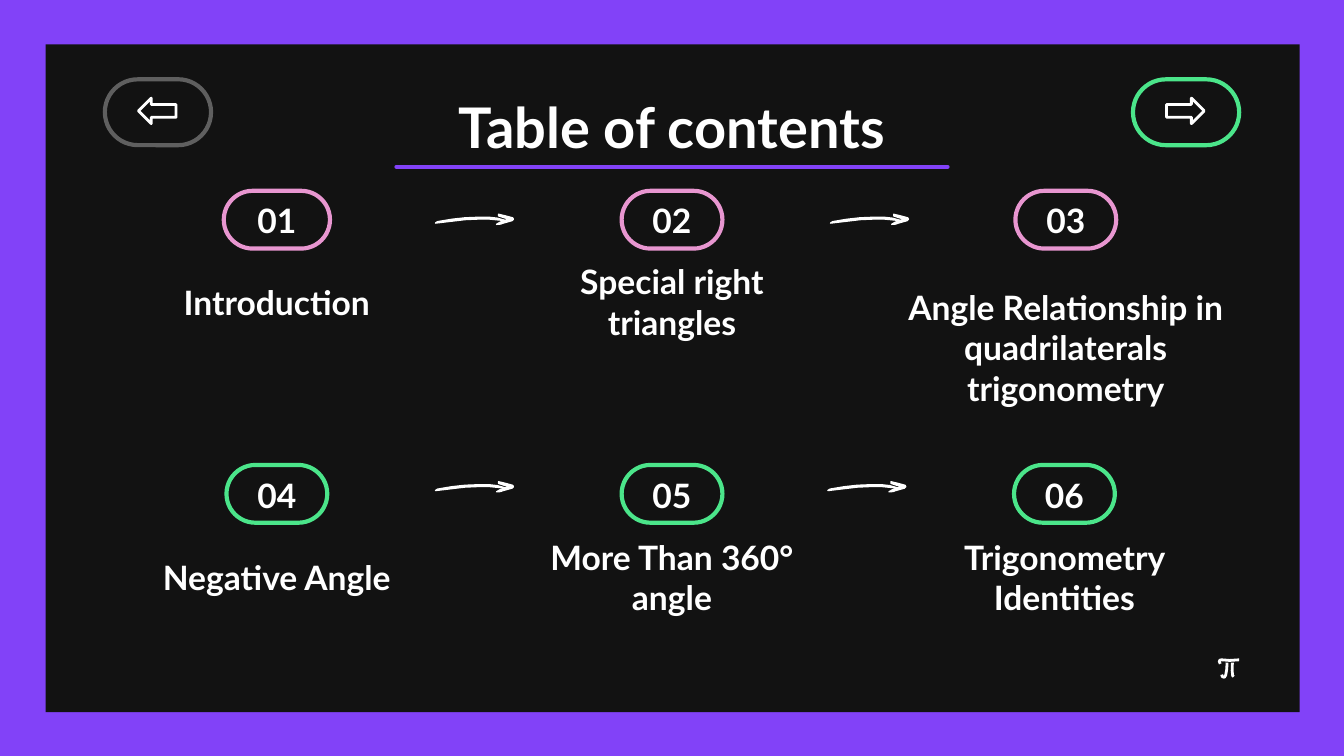
"""Build a table of contents slide with six numbered topics and navigation buttons."""

from pptx import Presentation
from pptx.dml.color import RGBColor
from pptx.enum.shapes import MSO_CONNECTOR as Connector, MSO_SHAPE as Shape
from pptx.enum.text import MSO_ANCHOR as Anchor, MSO_AUTO_SIZE as AutoSize, PP_ALIGN as Align
from pptx.oxml.ns import qn
from pptx.util import Inches, Pt
from lxml import etree

PURPLE = RGBColor(0x82, 0x42, 0xF8)
BLACK = RGBColor(0x12, 0x12, 0x12)
GREEN = RGBColor(0x4B, 0xE5, 0x8A)
PINK = RGBColor(0xE8, 0x96, 0xD0)
GRAY = RGBColor(0x5F, 0x5F, 0x5F)
WHITE = RGBColor(0xFF, 0xFF, 0xFF)

FRAME_FORMAT = {
    "margin_left": Inches(0.1),
    "margin_right": Inches(0.1),
    "margin_top": Inches(0.1),
    "margin_bottom": Inches(0.1),
    "word_wrap": True,
    "auto_size": AutoSize.NONE,
}
FONT_FORMAT = {"name": "Lato", "bold": True}


def paint(shape, fill=None, line=None, width=2.25):
    shape.shadow.inherit = False
    if fill is None:
        shape.fill.background()
    else:
        shape.fill.solid()
        shape.fill.fore_color.rgb = fill
    if line is None:
        shape.line.fill.background()
    else:
        shape.line.color.rgb = line
        shape.line.width = Pt(width)


def write(shape, text, size=18, anchor=Anchor.MIDDLE):
    frame = shape.text_frame
    for name, value in FRAME_FORMAT.items():
        setattr(frame, name, value)
    frame.vertical_anchor = anchor
    paragraph = frame.paragraphs[0]
    paragraph.alignment = Align.CENTER
    run = paragraph.add_run()
    run.text = text
    run.font.size = Pt(size)
    run.font.color.rgb = WHITE
    for name, value in FONT_FORMAT.items():
        setattr(run.font, name, value)


presentation = Presentation()
presentation.slide_width = Inches(10)
presentation.slide_height = Inches(10) * 9 // 16
slide = presentation.slides.add_slide(presentation.slide_layouts[5])
shapes = slide.shapes
slide.background.fill.solid()
slide.background.fill.fore_color.rgb = BLACK

title = shapes.title
title.left, title.top = Inches(2.29), Inches(0.59)
title.width, title.height = Inches(5.42), Inches(0.65)
write(title, "Table of contents", 30, Anchor.TOP)

border = shapes.add_shape(
    Shape.RECTANGLE, 0, 0, presentation.slide_width, presentation.slide_height
)
paint(border, PURPLE)
board = shapes.add_shape(Shape.RECTANGLE, Inches(0.34), Inches(0.33), Inches(9.33), Inches(4.97))
paint(board, BLACK)
tree = title.element.getparent()
tree.remove(title.element)
tree.append(title.element)

underline = shapes.add_connector(
    Connector.STRAIGHT, Inches(2.95), Inches(1.24), Inches(7.05), Inches(1.24)
)
underline.line.color.rgb = PURPLE
underline.line.width = Pt(2.25)
underline.element.spPr.find(qn("a:ln")).set("cap", "rnd")
etree.SubElement(underline.element.spPr, qn("a:effectLst"))

for left, color, rotation in [(0.78, GRAY, 180), (8.43, GREEN, 0)]:
    button = shapes.add_shape(
        Shape.ROUNDED_RECTANGLE, Inches(left), Inches(0.59), Inches(0.79), Inches(0.49)
    )
    button.adjustments[0] = 0.5
    paint(button, line=color)
    arrow = shapes.add_shape(
        Shape.RIGHT_ARROW, Inches(left + 0.25), Inches(0.73), Inches(0.28), Inches(0.19)
    )
    paint(arrow, line=WHITE, width=1.5)
    for shape in (button, arrow):
        shape.rotation = rotation

TOPICS = [
    ("01", "Introduction", 2.06, 1.42, 0.79, 1.98, PINK),
    ("02", "Special right triangles", 5, 1.42, 0.75, 1.98, PINK),
    ("03", "Angle Relationship in quadrilaterals trigonometry", 7.93, 1.42, 0.75, 2.32, PINK),
    ("04", "Negative Angle", 2.06, 3.46, 0.75, 4.03, GREEN),
    ("05", "More Than 360° angle", 5, 3.46, 0.75, 4.03, GREEN),
    ("06", "Trigonometry Identities", 7.92, 3.46, 0.75, 4.03, GREEN),
]
for number, topic, center, top, width, topic_top, color in TOPICS:
    pill = shapes.add_shape(
        Shape.ROUNDED_RECTANGLE,
        Inches(center - width / 2), Inches(top), Inches(width), Inches(0.43),
    )
    pill.adjustments[0] = 0.5
    paint(pill, line=color)
    number_box = shapes.add_textbox(
        Inches(center - 0.29), Inches(top + 0.11), Inches(0.58), Inches(0.22)
    )
    write(number_box, number)
    topic_box = shapes.add_textbox(
        Inches(center - 1.28), Inches(topic_top), Inches(2.56), Inches(0.53)
    )
    write(topic_box, topic)

ARROW_TAIL = [
    (0, 70), (130, 55), (220, 44), (320, 40), (400, 40), (525, 52),
    (460, 34), (400, 27), (320, 27), (220, 31), (120, 42), (15, 60),
]
ARROW_HEAD = [
    (550, 42), (500, 57), (480, 65), (455, 80), (485, 78), (500, 72), (570, 52),
    (580, 42), (575, 32), (520, 17), (470, 5), (470, 17), (510, 30),
]
PI_STROKES = [
    [(10, 30), (2, 12), (8, 2), (20, 0), (80, 5), (150, 0)],
    [(60, 20), (58, 70), (50, 115), (40, 130), (25, 125), (20, 110)],
    [(100, 20), (98, 80), (102, 118), (110, 125)],
]
sketches = [
    (points, left, top, True)
    for left, top in [(3.24, 1.59), (6.18, 1.59), (3.24, 3.58), (6.16, 3.58)]
    for points in (ARROW_TAIL, ARROW_HEAD)
]
sketches += [(points, 9.07, 4.91, False) for points in PI_STROKES]
for points, left, top, closed in sketches:
    builder = shapes.build_freeform(*points[0], scale=Inches(0.001))
    builder.add_line_segments(points[1:], close=closed)
    sketch = builder.convert_to_shape(Inches(left), Inches(top))
    paint(sketch, WHITE if closed else None, WHITE, 0.75 if closed else 1.5)

presentation.save("out.pptx")
